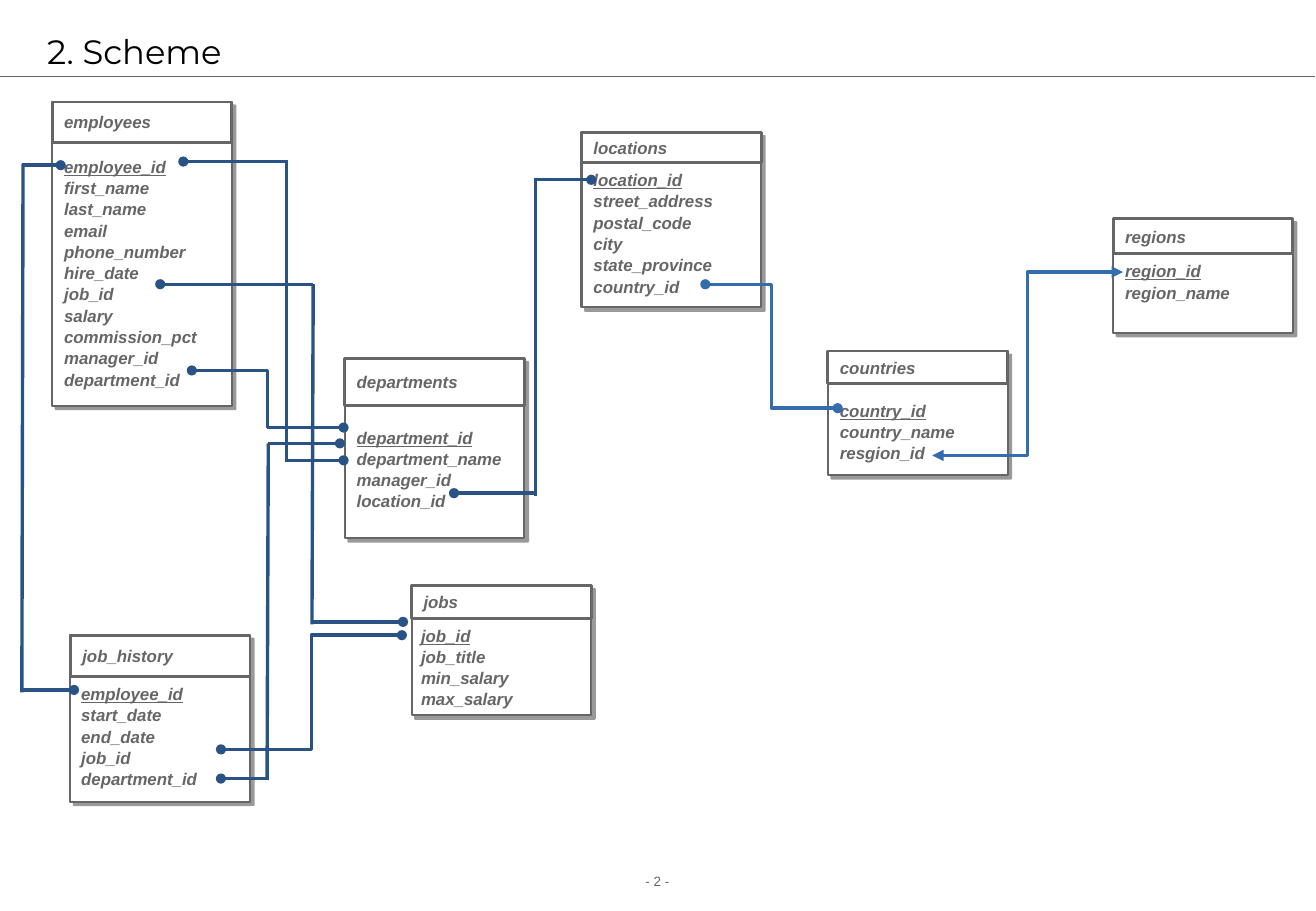
"""Build a slide showing a database scheme with tables and their relations."""
import pptx
import pptx.util
import pptx.dml.color
import pptx.enum.shapes
import pptx.enum.text
import pptx.oxml
import pptx.oxml.ns
from lxml import etree

Inches = pptx.util.Inches
Pt = pptx.util.Pt
ANCHOR = pptx.enum.text.MSO_ANCHOR
ALIGN = pptx.enum.text.PP_ALIGN
STRAIGHT = pptx.enum.shapes.MSO_CONNECTOR.STRAIGHT
ELBOW = pptx.enum.shapes.MSO_CONNECTOR.ELBOW

COLORS = {"white": "FFFFFF", "black": "000000", "gray": "666666",
          "navy": "2A5385", "blue": "346CB0"}
TABLE_WIDTH = 1.48

# name, left, top, height, header height, text left, text top, columns
TABLES = [
    ("countries", 6.82, 2.89, 1.02, 0.27, 6.82, 3.24,
     ["country_id", "country_name", "resgion_id"]),
    ("regions", 9.17, 1.8, 0.94, 0.29, 9.17, 2.09,
     ["region_id", "region_name"]),
    ("locations", 4.79, 1.09, 1.44, 0.25, 4.79, 1.34,
     ["location_id", "street_address", "postal_code", "city",
      "state_province", "country_id"]),
    ("departments", 2.84, 2.95, 1.48, 0.39, 2.84, 3.46,
     ["department_id", "department_name", "manager_id", "location_id"]),
    ("jobs", 3.39, 4.82, 1.07, 0.27, 3.37, 5.09,
     ["job_id", "job_title", "min_salary", "max_salary"]),
    ("employees", 0.43, 0.84, 2.5, 0.33, 0.43, 1.23,
     ["employee_id", "first_name", "last_name", "email", "phone_number",
      "hire_date", "job_id", "salary", "commission_pct", "manager_id",
      "department_id"]),
    ("job_history", 0.58, 5.23, 1.37, 0.34, 0.57, 5.57,
     ["employee_id", "start_date", "end_date", "job_id", "department_id"]),
]

# start, end, colour, width, marker at both ends
ELBOWS = [
    ((5.81, 2.34), (6.9, 3.36), "blue", 2, "oval"),
    ((7.68, 3.75), (9.25, 2.24), "blue", 2.25, "triangle"),
    ((1.58, 3.05), (2.83, 3.52), "navy", 2, "oval"),
    ((1.82, 6.17), (3.31, 5.23), "navy", 2, "oval"),
]

# dotted start, plain end
DOTTED_LINES = [
    ((4.87, 1.48), (4.4, 1.48)), ((3.74, 4.06), (4.41, 4.06)),
    ((2.83, 3.79), (2.36, 3.79)), ((1.51, 1.33), (2.37, 1.33)),
    ((0.5, 1.36), (0.18, 1.36)), ((0.61, 5.68), (0.18, 5.68)),
    ((1.82, 6.41), (2.22, 6.41)), ((1.32, 2.34), (2.58, 2.34)),
    ((3.32, 5.12), (2.57, 5.12)), ((2.8, 3.65), (2.21, 3.65)),
]

PLAIN_LINES = [
    ((4.41, 1.48), (4.41, 4.08)), ((2.36, 1.32), (2.36, 3.8)),
    ((0.19, 1.35), (0.18, 5.7)), ((2.21, 3.65), (2.2, 6.41)),
    ((2.58, 2.34), (2.57, 5.14)),
]


def rgb(name):
    """Return the named colour."""
    return pptx.dml.color.RGBColor.from_string(COLORS[name])


def format_text(frame, size, color, font="Arial", strong=False):
    """Give every run in the frame the same look."""
    frame.word_wrap = True
    for para in frame.paragraphs:
        for span in para.runs:
            span.font.name = font
            span.font.size = Pt(size)
            span.font.color.rgb = rgb(color)
            if strong:
                span.font.bold = span.font.italic = True


def add_text(shapes, text, left, top, width, height):
    """Add a text box and return its frame."""
    box = shapes.add_textbox(Inches(left), Inches(top),
                             Inches(width), Inches(height))
    box.text_frame.text = text
    return box.text_frame


def add_rectangle(shapes, left, top, height, line_width):
    """Add a white rectangle with a gray outline."""
    box = shapes.add_shape(pptx.enum.shapes.MSO_SHAPE.RECTANGLE,
                           Inches(left), Inches(top),
                           Inches(TABLE_WIDTH), Inches(height))
    box.shadow.inherit = False
    box.fill.solid()
    box.fill.fore_color.rgb = rgb("white")
    box.line.color.rgb = rgb("gray")
    box.line.width = Pt(line_width)
    return box


def add_hard_shadow(box):
    """Cast an unblurred shadow to the lower right."""
    effects = box._element.spPr.find(pptx.oxml.ns.qn("a:effectLst"))
    effects.append(pptx.oxml.parse_xml(
        f'<a:outerShdw {pptx.oxml.ns.nsdecls("a")} blurRad="0" '
        f'dist="{Pt(3)}" dir="2700000" algn="tl" rotWithShape="0">'
        f'<a:srgbClr val="{COLORS["black"]}"><a:alpha val="40000"/>'
        '</a:srgbClr></a:outerShdw>'))


def add_db_table(slide, name, left, top, height, header_height,
                 text_left, text_top, columns):
    """Add a database table whose first column name is the underlined key."""
    shapes = slide.shapes.add_group_shape().shapes
    add_hard_shadow(add_rectangle(shapes, left, top, height, 1.25))

    header = add_rectangle(shapes, left, top, header_height, 1.75).text_frame
    header.text = name
    header.vertical_anchor = ANCHOR.MIDDLE
    header.paragraphs[0].alignment = ALIGN.LEFT
    format_text(header, 10, "gray", strong=True)

    body = add_text(shapes, "\n".join(columns), text_left, text_top,
                    TABLE_WIDTH, 0.1 + len(columns) / 6)
    format_text(body, 10, "gray", strong=True)
    for para in body.paragraphs:
        para.line_spacing = 1.05
    body.paragraphs[0].runs[0].font.underline = True


def add_line(slide, start, end, color="navy", width=2, kind=STRAIGHT,
             head=None, tail=None):
    """Add a connector with optional markers at its start and end."""
    line = slide.shapes.add_connector(kind, *map(Inches, start + end))
    line.line.color.rgb = rgb(color)
    line.line.width = Pt(width)
    stroke = line.line._get_or_add_ln()
    for tag, marker in (("a:headEnd", head), ("a:tailEnd", tail)):
        if marker:
            etree.SubElement(stroke, pptx.oxml.ns.qn(tag), type=marker)
    etree.SubElement(line._element.spPr, pptx.oxml.ns.qn("a:effectLst"))


def add_frame(slide):
    """Add the page number, the rule and the title."""
    number = add_text(slide.shapes, "- 2 -", 0, 7.14, 10.83, 0.24)
    number.paragraphs[0].alignment = ALIGN.CENTER
    format_text(number, 8, "gray")
    add_line(slide, (0, 0.63), (10.83, 0.63), "gray", 0.75)
    title = add_text(slide.shapes, "2. Scheme", 0.29, 0.21, 10.17, 0.42)
    title.vertical_anchor = ANCHOR.MIDDLE
    format_text(title, 20, "black", "Montserrat")


def main():
    """Build and save the slide."""
    deck = pptx.Presentation()
    deck.slide_width = Inches(10.84)
    deck.slide_height = Inches(7.5)
    slide = deck.slides.add_slide(deck.slide_layouts[6])
    add_frame(slide)
    for table in TABLES:
        add_db_table(slide, *table)
    for start, end, color, width, marker in ELBOWS:
        add_line(slide, start, end, color, width, ELBOW, marker, marker)
    for start, end in DOTTED_LINES:
        add_line(slide, start, end, head="oval")
    for start, end in PLAIN_LINES:
        add_line(slide, start, end)
    deck.save("out.pptx")


if __name__ == "__main__":
    main()
